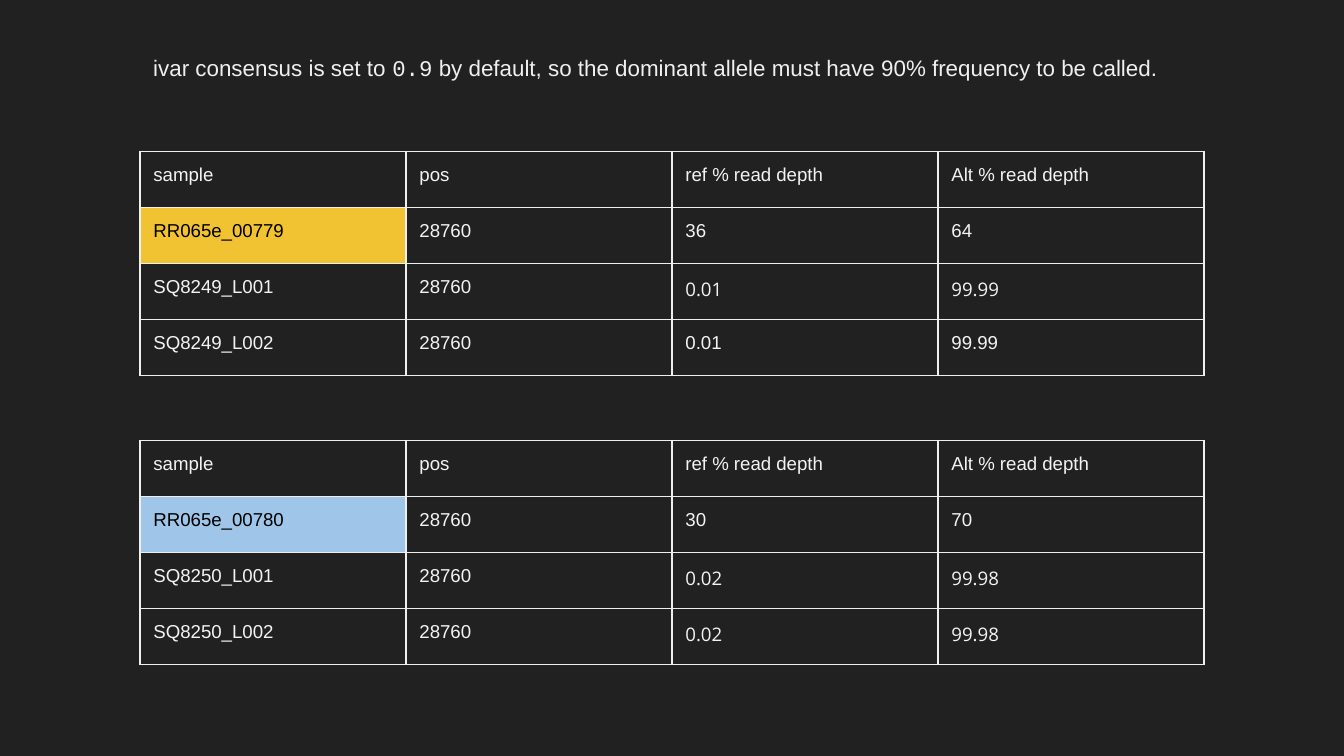
"""Build a slide comparing allele read depths for two sample groups."""
from lxml.etree import SubElement
from pptx import Presentation
from pptx.dml.color import RGBColor as Color
from pptx.enum.text import MSO_ANCHOR as Anchor
from pptx.oxml.ns import qn
from pptx.util import Pt

THEME = {
    "background": "212121", "border": "EFEFEF", "note": "EFEFEF",
    "cell": "F3F3F3", "highlight_text": "000000",
    "yellow": "F1C232", "blue": "9FC5E8",
    "note_size": 12, "cell_size": 10, "border_width": 0.75,
    "body_font": "Arial", "code_font": "Courier New", "value_font": "Open Sans",
}
LEFT, COLUMN_WIDTH, ROW_HEIGHT, INSET = 75, 142.5, 30, 7.2
HEADER = ["sample", "pos", "ref % read depth", "Alt % read depth"]
TABLES = [
    {"top": 81.2, "highlight": "yellow", "value_cells": {(2, 2), (2, 3)},
     "rows": [HEADER,
              ["RR065e_00779", "28760", "36 ", "64"],
              ["SQ8249_L001", "28760", "0.01", "99.99"],
              ["SQ8249_L002", "28760", "0.01", "99.99"]]},
    {"top": 236, "highlight": "blue",
     "value_cells": {(2, 2), (2, 3), (3, 2), (3, 3)},
     "rows": [HEADER,
              ["RR065e_00780", "28760", "30", "70"],
              ["SQ8250_L001", "28760", "0.02", "99.98"],
              ["SQ8250_L002", "28760", "0.02", "99.98"]]},
]
NOTE = [("ivar consensus is set to ", "body_font"),
        ("0.9", "code_font"),
        (" by default, so the dominant allele must have 90% frequency to be called.",
         "body_font")]


def add_run(paragraph, text, font, size, color):
    run = paragraph.add_run()
    run.text = text
    for name, value in {"name": THEME[font], "size": Pt(THEME[size]), "bold": False}.items():
        setattr(run.font, name, value)
    run.font.color.rgb = Color.from_string(THEME[color])


def add_borders(cell):
    properties = cell._tc.get_or_add_tcPr()
    for index, side in enumerate(("a:lnL", "a:lnR", "a:lnT", "a:lnB")):
        line = properties.makeelement(qn(side), {"w": str(Pt(THEME["border_width"]))})
        fill = SubElement(line, qn("a:solidFill"))
        SubElement(fill, qn("a:srgbClr"), val=THEME["border"])
        properties.insert(index, line)


presentation = Presentation()
presentation.slide_width, presentation.slide_height = Pt(720), Pt(405)
slide = presentation.slides.add_slide(presentation.slide_layouts[6])
slide.background.fill.solid()
slide.background.fill.fore_color.rgb = Color.from_string(THEME["background"])
margins = {f"margin_{side}": Pt(INSET) for side in ("left", "top", "right", "bottom")}

for group in TABLES:
    rows = group["rows"]
    table = slide.shapes.add_table(
        len(rows), len(HEADER), Pt(LEFT), Pt(group["top"]),
        Pt(COLUMN_WIDTH * len(HEADER)), Pt(ROW_HEIGHT * len(rows))).table
    table.first_row = table.horz_banding = False
    for row_index, row in enumerate(rows):
        for column_index, text in enumerate(row):
            place = (row_index, column_index)
            cell = table.cell(*place)
            for name, value in {**margins, "vertical_anchor": Anchor.TOP}.items():
                setattr(cell, name, value)
            highlighted = place == (1, 0)
            if highlighted:
                cell.fill.solid()
                cell.fill.fore_color.rgb = Color.from_string(THEME[group["highlight"]])
            else:
                cell.fill.background()
            add_borders(cell)
            font = "value_font" if place in group["value_cells"] else "body_font"
            color = "highlight_text" if highlighted else "cell"
            add_run(cell.text_frame.paragraphs[0], text, font, "cell_size", color)

note = slide.shapes.add_textbox(Pt(LEFT), Pt(21.9), Pt(634.3), Pt(28.8))
for name, value in {**margins, "word_wrap": True}.items():
    setattr(note.text_frame, name, value)
for text, font in NOTE:
    add_run(note.text_frame.paragraphs[0], text, font, "note_size", "note")

presentation.save("out.pptx")
